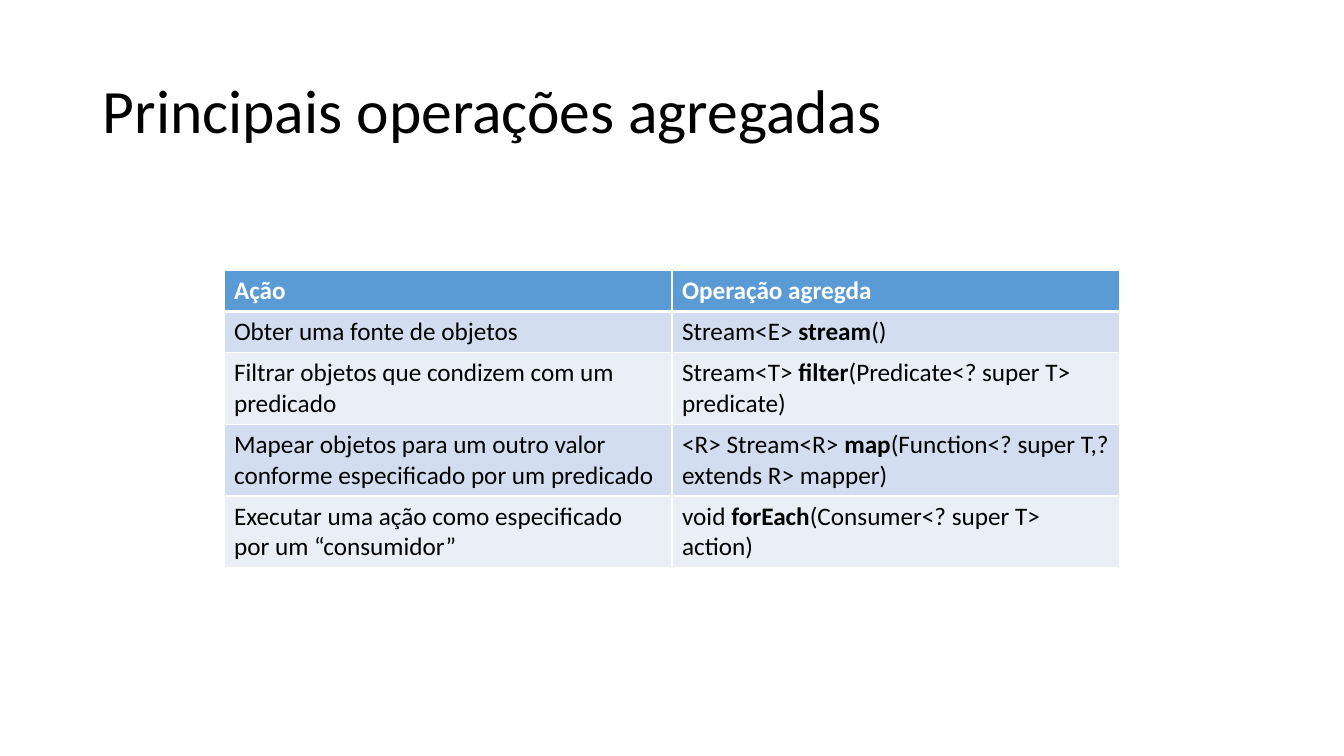
from pptx import Presentation
from pptx.dml.color import RGBColor
from pptx.enum.text import MSO_ANCHOR, PP_ALIGN
from pptx.oxml.ns import qn
from pptx.util import Inches, Pt
from lxml import etree

LEFT, MIDDLE = PP_ALIGN.LEFT, MSO_ANCHOR.MIDDLE

TITLE = "Principais operações agregadas"
HEADER = ("Ação", "Operação agregda")
# Action, then return type, method name and parameters of its operation
OPERATIONS = [
    ("Obter uma fonte de objetos", ("Stream<E> ", "stream", "()")),
    ("Filtrar objetos que condizem com um predicado",
     ("Stream<T> ", "filter", "(Predicate<? super T> predicate)")),
    ("Mapear objetos para um outro valor conforme especificado por um predicado",
     ("<R> Stream<R> ", "map", "(Function<? super T,? extends R> mapper)")),
    ("Executar uma ação como especificado por um “consumidor”",
     ("void ", "forEach", "(Consumer<? super T> action)")),
]
COLORS = {"text": "000000", "white": "FFFFFF", "header": "5B9BD5",
          "odd": "D2DEEF", "even": "EAEFF7"}
FONT = "Calibri"
SLIDE_W, SLIDE_H = 13.33, 7.5
TABLE_W, TABLE_TOP, ROW_H = SLIDE_W * 2 / 3, 2.68, 0.41


def color(name):
    return RGBColor.from_string(COLORS[name])


def style(paragraph, size, color_name):
    paragraph.alignment = LEFT
    font = paragraph.font
    font.name, font.size = FONT, Pt(size)
    font.color.rgb = color(color_name)


def add_borders(cell, bottom, top):
    """Draw white cell borders; widths are in points."""
    properties = cell._tc.get_or_add_tcPr()
    widths = (("a:lnL", 1), ("a:lnR", 1), ("a:lnT", top), ("a:lnB", bottom))
    for position, (side, width) in enumerate(widths):
        line = etree.Element(qn(side), w=str(Pt(width)))
        fill = etree.SubElement(line, qn("a:solidFill"))
        etree.SubElement(fill, qn("a:srgbClr"), val=COLORS["white"])
        properties.insert(position, line)


def fill_cell(cell, parts, row):
    paragraph = cell.text_frame.paragraphs[0]
    style(paragraph, 18, "text" if row else "white")
    for position, part in enumerate(parts):
        run = paragraph.add_run()
        run.text = part
        run.font.bold = row == 0 or position == 1
        # Run colour takes precedence over the table style
        run.font.color.rgb = color("text" if row else "white")
        run.font.size, run.font.name = Pt(18), FONT
    cell.fill.solid()
    cell.fill.fore_color.rgb = color(
        "header" if row == 0 else "odd" if row % 2 else "even")
    add_borders(cell, bottom=1 if row else 3, top=3 if row == 1 else 1)


def main():
    prs = Presentation()
    prs.slide_width, prs.slide_height = Inches(SLIDE_W), Inches(SLIDE_H)
    slide = prs.slides.add_slide(prs.slide_layouts[5])

    title = slide.shapes.title
    title.left, title.top = Inches(0.92), Inches(0.4)
    title.width, title.height = Inches(11.5), Inches(1.45)
    title.text_frame.text = TITLE
    title.text_frame.vertical_anchor = MIDDLE
    heading = title.text_frame.paragraphs[0]
    heading.line_spacing = 0.9
    style(heading, 44, "text")

    rows = [[(name,) for name in HEADER]]
    rows += [[(action,), operation] for action, operation in OPERATIONS]
    table = slide.shapes.add_table(
        len(rows), len(HEADER), Inches((SLIDE_W - TABLE_W) / 2), Inches(TABLE_TOP),
        Inches(TABLE_W), Inches(ROW_H * len(rows))).table
    for r, row in enumerate(rows):
        for c, parts in enumerate(row):
            fill_cell(table.cell(r, c), parts, r)

    prs.save("out.pptx")


if __name__ == "__main__":
    main()
